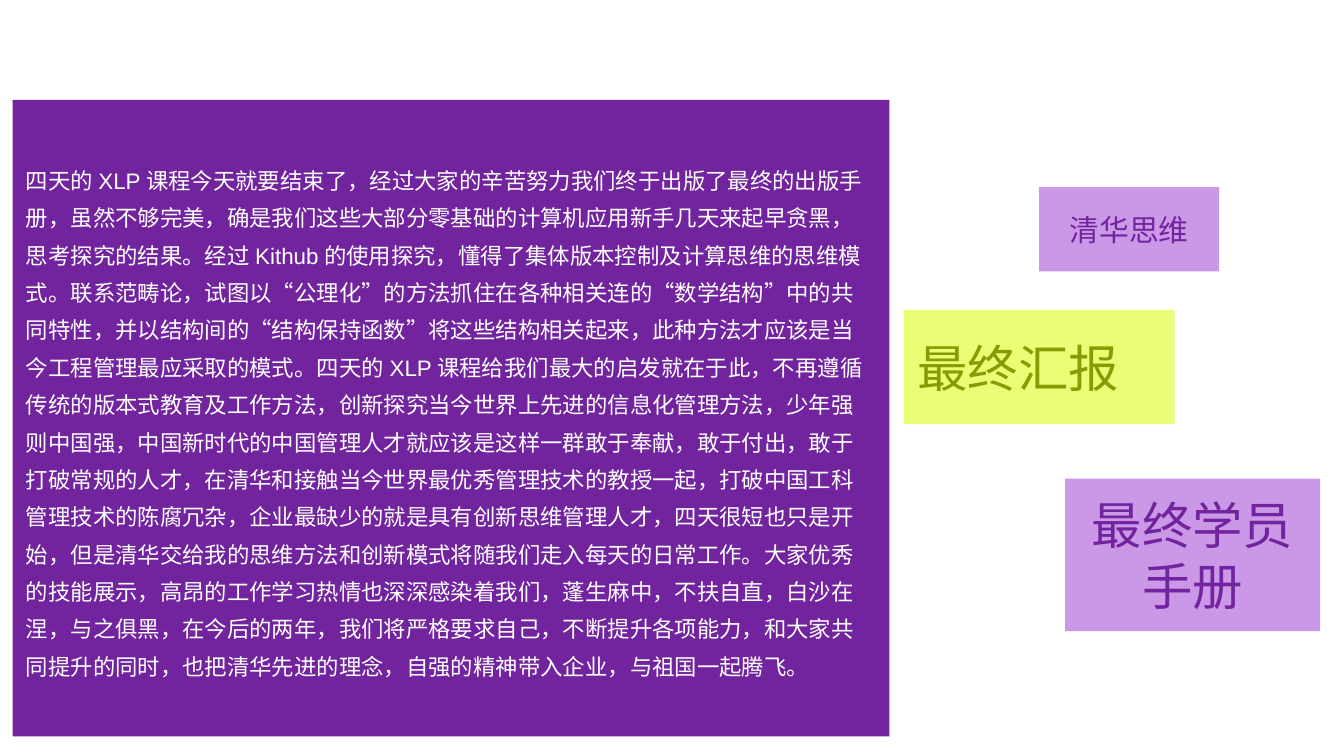
from pptx import Presentation
from pptx.dml.color import RGBColor
from pptx.enum.shapes import MSO_SHAPE as Shape
from pptx.enum.text import MSO_ANCHOR as Anchor, PP_ALIGN as Align
from pptx.util import Cm, Pt

COLORS = {
    "purple": "72249E",
    "lilac": "CB98E8",
    "lime": "EBFC75",
    "olive": "889B03",
    "white": "FFFFFF",
}

REFLECTION = (
    "四天的XLP课程今天就要结束了，经过大家的辛苦努力我们终于出版了最终的出版手册，"
    "虽然不够完美，确是我们这些大部分零基础的计算机应用新手几天来起早贪黑，思考探究的结果。"
    "经过Kithub的使用探究，懂得了集体版本控制及计算思维的思维模式。"
    "联系范畴论，试图以“公理化”的方法抓住在各种相关连的“数学结构”中的共同特性，"
    "并以结构间的“结构保持函数”将这些结构相关起来，此种方法才应该是当今工程管理最应采取的模式。"
    "四天的XLP课程给我们最大的启发就在于此，不再遵循传统的版本式教育及工作方法，"
    "创新探究当今世界上先进的信息化管理方法，少年强则中国强，"
    "中国新时代的中国管理人才就应该是这样一群敢于奉献，敢于付出，敢于打破常规的人才，"
    "在清华和接触当今世界最优秀管理技术的教授一起，打破中国工科管理技术的陈腐冗杂，"
    "企业最缺少的就是具有创新思维管理人才，四天很短也只是开始，"
    "但是清华交给我的思维方法和创新模式将随我们走入每天的日常工作。"
    "大家优秀的技能展示，高昂的工作学习热情也深深感染着我们，"
    "蓬生麻中，不扶自直，白沙在涅，与之俱黑，在今后的两年，我们将严格要求自己，"
    "不断提升各项能力，和大家共同提升的同时，也把清华先进的理念，自强的精神带入企业，"
    "与祖国一起腾飞。"
)

TILES = [
    ("最终学员手册", (20.13, 9.05, 4.82, 2.88), "lilac", "purple", 27, Align.CENTER),
    ("最终汇报", (17.09, 5.86, 5.11, 2.16), "lime", "olive", 27, Align.LEFT),
    ("清华思维", (19.64, 3.54, 3.4, 1.59), "lilac", "purple", 16, Align.CENTER),
]


def rgb(name):
    return RGBColor.from_string(COLORS[name])


def add_panel(page, box, text, fill, ink, size, align):
    panel = page.shapes.add_shape(Shape.RECTANGLE, *map(Cm, box))
    panel.shadow.inherit = False
    panel.fill.solid()
    panel.fill.fore_color.rgb = rgb(fill)
    panel.line.fill.background()
    frame = panel.text_frame
    frame.text = text
    frame.word_wrap = True
    frame.vertical_anchor = Anchor.MIDDLE
    para = frame.paragraphs[0]
    para.alignment = align
    font = para.runs[0].font
    font.name = "Arial"
    font.size = Pt(size)
    font.color.rgb = rgb(ink)
    return para


def add_reflection(page, box):
    para = add_panel(page, box, REFLECTION, "purple", "white", 12, Align.LEFT)
    para.line_spacing = Pt(20)


def add_tiles(page):
    for text, box, fill, ink, size, align in TILES:
        add_panel(page, box, text, fill, ink, size, align)


def main():
    deck = Presentation()
    deck.slide_width = Cm(25.4)
    deck.slide_height = Cm(14.29)
    page = deck.slides.add_slide(deck.slide_layouts[6])
    add_reflection(page, (0.24, 1.89, 16.57, 12.03))
    add_tiles(page)
    deck.save("out.pptx")


if __name__ == "__main__":
    main()
